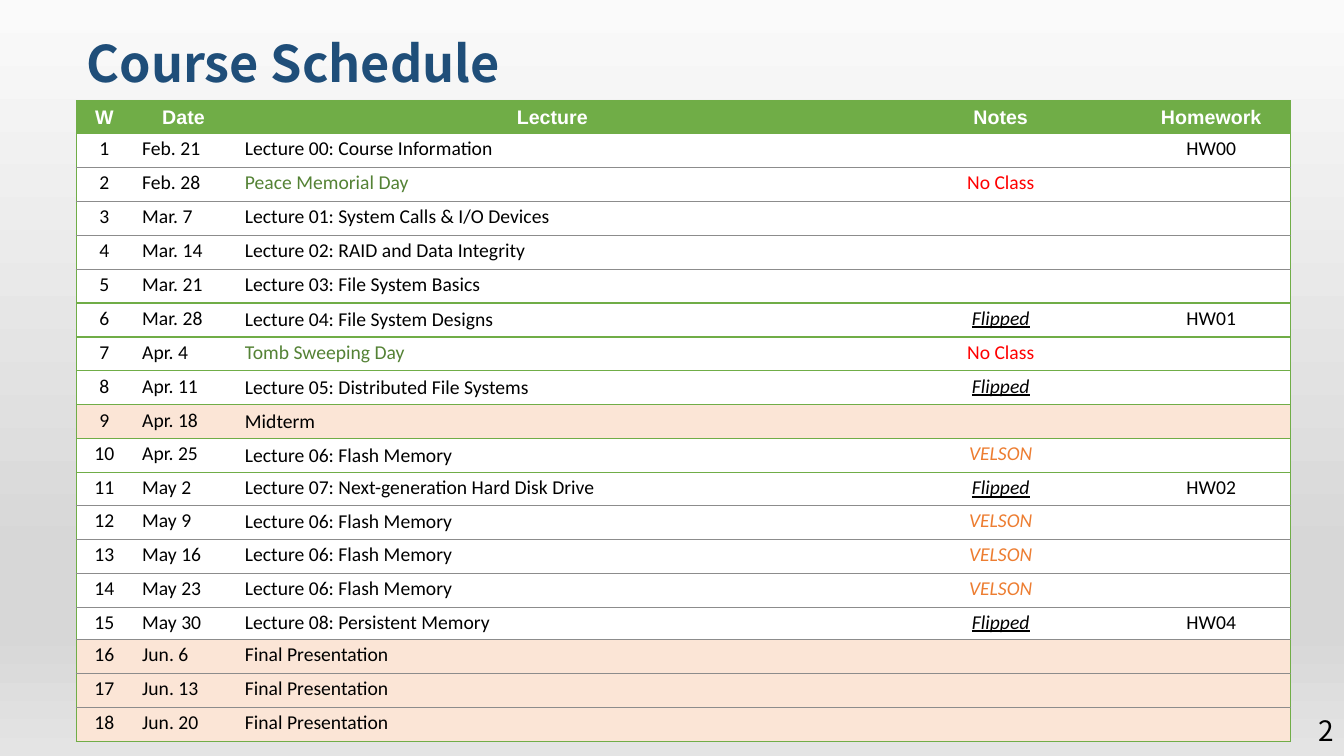
from lxml.etree import SubElement
from pptx import Presentation
from pptx.dml.color import RGBColor
from pptx.enum.shapes import MSO_SHAPE
from pptx.enum.text import MSO_ANCHOR, MSO_AUTO_SIZE, PP_ALIGN
from pptx.oxml.ns import qn
from pptx.util import Cm, Pt

# Content
TITLE = "Course Schedule"
PAGE_NUMBER = "2"
HEADINGS = ("W", "Date", "Lecture", "Notes", "Homework")
WEEKS = [
    ("Feb. 21", "Lecture 00: Course Information", "", "HW00"),
    ("Feb. 28", "Peace Memorial Day", "No Class", ""),
    ("Mar. 7", "Lecture 01: System Calls & I/O Devices", "", ""),
    ("Mar. 14", "Lecture 02: RAID and Data Integrity", "", ""),
    ("Mar. 21", "Lecture 03: File System Basics", "", ""),
    ("Mar. 28", "Lecture 04: File System Designs", "Flipped", "HW01"),
    ("Apr. 4", "Tomb Sweeping Day", "No Class", ""),
    ("Apr. 11", "Lecture 05: Distributed File Systems", "Flipped", ""),
    ("Apr. 18", "Midterm", "", ""),
    ("Apr. 25", "Lecture 06: Flash Memory", "VELSON", ""),
    ("May 2", "Lecture 07: Next-generation Hard Disk Drive", "Flipped", "HW02"),
    ("May 9", "Lecture 06: Flash Memory", "VELSON", ""),
    ("May 16", "Lecture 06: Flash Memory", "VELSON", ""),
    ("May 23", "Lecture 06: Flash Memory", "VELSON", ""),
    ("May 30", "Lecture 08: Persistent Memory", "Flipped", "HW04"),
    ("Jun. 6", "Final Presentation", "", ""),
    ("Jun. 13", "Final Presentation", "", ""),
    ("Jun. 20", "Final Presentation", "", ""),
]

# Format
COLORS = {
    "title": "1F4E79", "green": "70AD47", "holiday": "548235", "red": "FF0000",
    "guest": "ED7D31", "exam": "FBE5D6", "white": "FFFFFF", "black": "000000",
    "grid": "8C8C8C",
}
BACKDROP_STOPS = [(0, "FAFAFA"), (74, "D7D7D7"), (83, "D7D7D7"), (100, "E4E4E4")]
TITLE_FONT = "Noto Sans CJK TC"
NOTE_FORMATS = {
    "No Class": {"color": "red"},
    "Flipped": {"italic": True, "underline": True},
    "VELSON": {"color": "guest", "italic": True},
}
EXAMS = ("Midterm", "Final Presentation")
COLUMN_WIDTHS = (1.4, 2.59, 16, 6.6, 4.01)
TABLE_LEFT, TABLE_TOP, TABLE_HEIGHT = 1.93, 2.54, 16.15
LOW_ROWS, LOW_HEIGHT = (0, 11, 15), 0.82
GREEN_RULES = (0, 1, 6, 7, 8, 9, 10, 11, 19)  # counted from the table's top edge
LOOSE_LECTURES = (6, 8, 9, 10, 12)
PLAIN_STYLE = "{2D5ABB26-0587-4C30-8999-92F81FD0307C}"


def write_text(frame, text, font="Calibri", size=14, color="black", bold=False,
               italic=False, underline=False, align=PP_ALIGN.LEFT, spacing=None):
    paragraph = frame.paragraphs[0]
    paragraph.alignment = align
    paragraph.line_spacing = spacing
    if not text:
        SubElement(paragraph._p, qn("a:endParaRPr"), sz=str(size * 100))
        return
    run = paragraph.add_run()
    run.text = text
    run.font.name, run.font.size = font, Pt(size)
    run.font.bold, run.font.italic, run.font.underline = bold, italic, underline
    run.font.color.rgb = RGBColor.from_string(COLORS[color])
    properties = run._r.get_or_add_rPr()
    SubElement(properties, qn("a:ea"), typeface=font)


def add_border(cell, side, color, width):
    line = SubElement(cell._tc.get_or_add_tcPr(), qn("a:ln" + side), w=str(Pt(width)))
    fill = SubElement(line, qn("a:solidFill"))
    SubElement(fill, qn("a:srgbClr"), val=COLORS[color])


def add_rule(cell, side, number):
    if number in GREEN_RULES:
        add_border(cell, side, "green", 1)
    else:
        add_border(cell, side, "grid", 0.75)


def cell_format(row, column, text):
    if row == 0:
        return {"font": "Arial", "color": "white", "bold": True,
                "align": PP_ALIGN.CENTER, "spacing": Pt(16)}
    options = {"spacing": Pt(16)}
    if column in (0, 3, 4):
        options["align"] = PP_ALIGN.CENTER
    if column == 2 and row in LOOSE_LECTURES:
        options["spacing"] = None
    if column == 2 and text.endswith("Day"):
        options["color"] = "holiday"
    return options | NOTE_FORMATS.get(text, {})


def add_backdrop(slide, presentation):
    backdrop = slide.shapes.add_shape(
        MSO_SHAPE.RECTANGLE, 0, 0, presentation.slide_width, presentation.slide_height)
    backdrop.shadow.inherit = False
    backdrop.line.fill.background()
    backdrop.fill.gradient()
    backdrop.fill.gradient_angle = 270
    stops = backdrop._element.spPr.find(qn("a:gradFill")).find(qn("a:gsLst"))
    for stop in list(stops):
        stops.remove(stop)
    for position, color in BACKDROP_STOPS:
        stop = SubElement(stops, qn("a:gs"), pos=str(position * 1000))
        SubElement(stop, qn("a:srgbClr"), val=color)
    slide.shapes._spTree.insert(2, backdrop._element)


def add_schedule(slide):
    rows = [HEADINGS] + [(str(week), *entry) for week, entry in enumerate(WEEKS, 1)]
    table = slide.shapes.add_table(
        len(rows), len(HEADINGS), Cm(TABLE_LEFT), Cm(TABLE_TOP),
        Cm(sum(COLUMN_WIDTHS)), Cm(TABLE_HEIGHT)).table
    table.first_row = table.horz_banding = False
    table._tbl.tblPr.find(qn("a:tableStyleId")).text = PLAIN_STYLE
    for column, width in enumerate(COLUMN_WIDTHS):
        table.columns[column].width = Cm(width)
    usual_height = ((TABLE_HEIGHT - LOW_HEIGHT * len(LOW_ROWS))
                    / (len(rows) - len(LOW_ROWS)))

    for row, texts in enumerate(rows):
        table.rows[row].height = Cm(LOW_HEIGHT if row in LOW_ROWS else usual_height)
        fill = "green" if row == 0 else "exam" if texts[2] in EXAMS else "white"
        for column, text in enumerate(texts):
            cell = table.cell(row, column)
            write_text(cell.text_frame, text, **cell_format(row, column, text))
            if column == 0:
                add_border(cell, "L", "green", 1)
            if column == len(HEADINGS) - 1:
                add_border(cell, "R", "green", 1)
            add_rule(cell, "T", row)
            add_rule(cell, "B", row + 1)
            cell.fill.solid()
            cell.fill.fore_color.rgb = RGBColor.from_string(COLORS[fill])


def main():
    presentation = Presentation()
    presentation.slide_width, presentation.slide_height = Cm(33.87), Cm(19.05)
    slide = presentation.slides.add_slide(presentation.slide_layouts[5])
    add_backdrop(slide, presentation)

    # Title
    title = slide.shapes.title
    title.left, title.top, title.width, title.height = Cm(1.93), Cm(0.53), Cm(28.73), Cm(1.96)
    title.text_frame.auto_size = MSO_AUTO_SIZE.NONE
    title.text_frame.vertical_anchor = MSO_ANCHOR.BOTTOM
    write_text(title.text_frame, TITLE, font=TITLE_FONT, size=36, color="title",
               bold=True, spacing=0.9)

    # Page number
    number = slide.shapes.add_textbox(Cm(30.68), Cm(18.14), Cm(3.18), Cm(0.51))
    number.text_frame.word_wrap = True
    number.text_frame.vertical_anchor = MSO_ANCHOR.MIDDLE
    write_text(number.text_frame, PAGE_NUMBER, font=TITLE_FONT, size=20,
               align=PP_ALIGN.RIGHT)

    add_schedule(slide)
    presentation.save("out.pptx")


if __name__ == "__main__":
    main()
